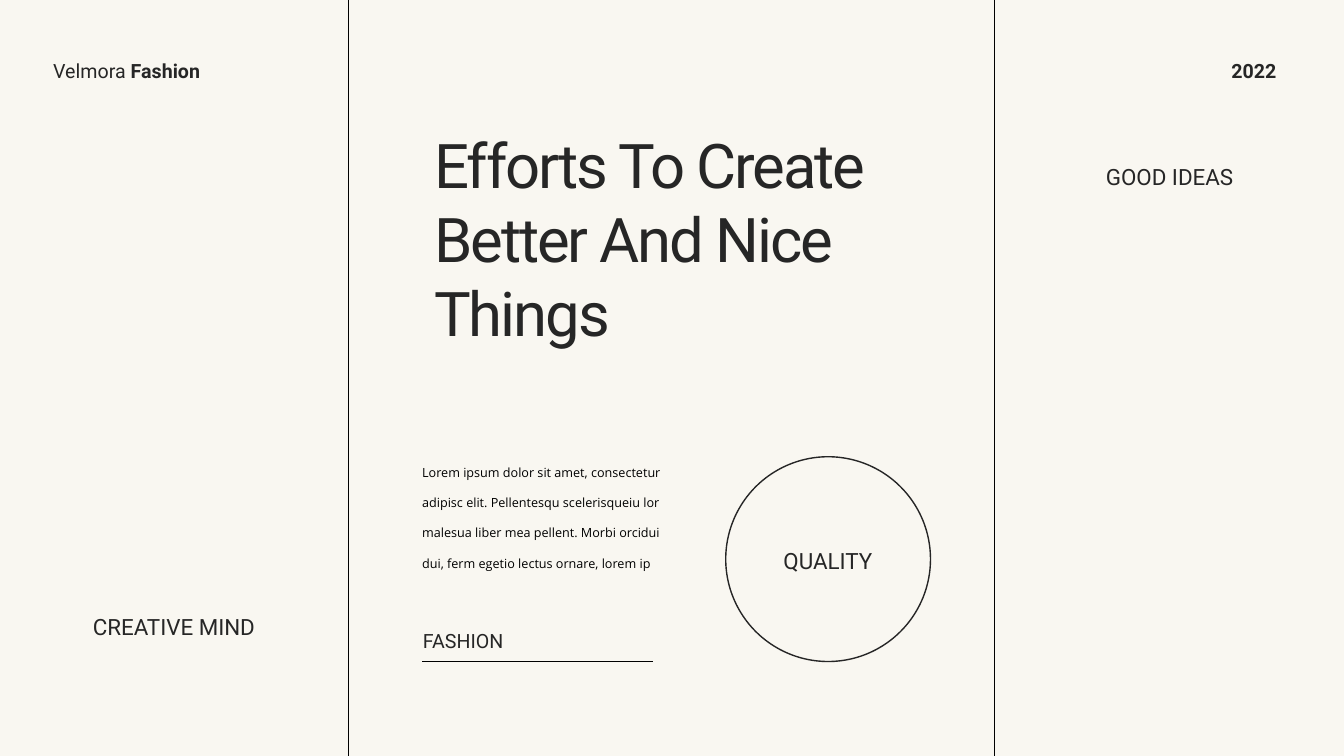
"""Build a fashion slide with three columns, a headline and a circled label."""
from lxml import etree
from pptx import Presentation
from pptx.dml.color import RGBColor
from pptx.enum.shapes import MSO_CONNECTOR, MSO_SHAPE
from pptx.enum.text import MSO_ANCHOR, MSO_AUTO_SIZE, PP_ALIGN
from pptx.oxml.ns import qn
from pptx.util import Cm, Pt

STRAIGHT = MSO_CONNECTOR.STRAIGHT
OVAL = MSO_SHAPE.OVAL
TOP = MSO_ANCHOR.TOP
FIT = MSO_AUTO_SIZE.SHAPE_TO_FIT_TEXT
LEFT, CENTER = PP_ALIGN.LEFT, PP_ALIGN.CENTER
INK, BLACK, PAPER = "262626", "000000", "F9F7F1"
SLIDE_W, SLIDE_H = 33.87, 19.05


def rgb(value):
    return RGBColor.from_string(value)


def write(sp, text, size=14, font="Roboto", color=INK, bold=False,
          align=LEFT, spacing=1.0, tracking=0, wrap=True):
    tf = sp.text_frame
    tf.word_wrap = wrap
    tf.auto_size = FIT
    tf.vertical_anchor = TOP
    p = tf.paragraphs[0]
    p.alignment = align
    p.line_spacing = spacing
    r = p.add_run()
    r.text = text
    r.font.size = Pt(size)
    r.font.name = font
    r.font.bold = bold
    r.font.color.rgb = rgb(color)
    if tracking:
        r.font._element.set("spc", str(int(tracking * 100)))


prs = Presentation()
prs.slide_width, prs.slide_height = Cm(SLIDE_W), Cm(SLIDE_H)
s = prs.slides.add_slide(prs.slide_layouts[5])
s.background.fill.solid()
s.background.fill.fore_color.rgb = rgb(PAPER)

title = s.shapes.title
title.left, title.top, title.width, title.height = Cm(10.69), Cm(3.07), Cm(12.8), Cm(5.89)
write(title, "Efforts To Create Better And Nice Things", size=44, tracking=-1.5)

rules = [
    (8.79, 0, 8.79, SLIDE_H),
    (25.07, 0, 25.07, SLIDE_H),
    (10.64, 16.66, 16.46, 16.66),
]
for ends in rules:
    line = s.shapes.add_connector(STRAIGHT, *[Cm(v) for v in ends])
    line.line.color.rgb = rgb(BLACK)
    line.line.width = Pt(0.5)
    etree.SubElement(line._element.spPr, qn("a:effectLst"))

circle = s.shapes.add_shape(OVAL, Cm(18.29), Cm(11.51), Cm(5.16), Cm(5.16))
circle.shadow.inherit = False
circle.fill.background()
circle.line.color.rgb = rgb(INK)
circle.line.width = Pt(1)

lorem = ("Lorem ipsum dolor sit amet, consectetur adipisc elit. Pellentesqu "
         "scelerisqueiu lor malesua liber mea pellent. Morbi orcidui dui, "
         "ferm egetio lectus ornare, lorem ip")
label = {"size": 16, "align": CENTER}
texts = [
    ((1.09, 1.35, 4.65, 0.86), [("Velmora ", {"wrap": False}),
                                ("Fashion", {"wrap": False, "bold": True})]),
    ((30.78, 1.35, 1.73, 0.86), [("2022", {"wrap": False, "bold": True})]),
    ((19.38, 13.67, 2.97, 0.94), [("QUALITY", label)]),
    ((10.39, 11.2, 6.63, 3.23), [(lorem, {"size": 9, "font": "Open Sans",
                                          "color": BLACK, "spacing": 2.0})]),
    ((10.41, 15.72, 2.87, 0.86), [("FASHION", {})]),
    ((2.01, 15.32, 4.75, 0.94), [("CREATIVE MIND", label)]),
    ((27.1, 3.99, 4.75, 0.94), [("GOOD IDEAS", label)]),
]
for box, runs in texts:
    sp = s.shapes.add_textbox(*[Cm(v) for v in box])
    for text, style in runs:
        write(sp, text, **style)

prs.save("out.pptx")
